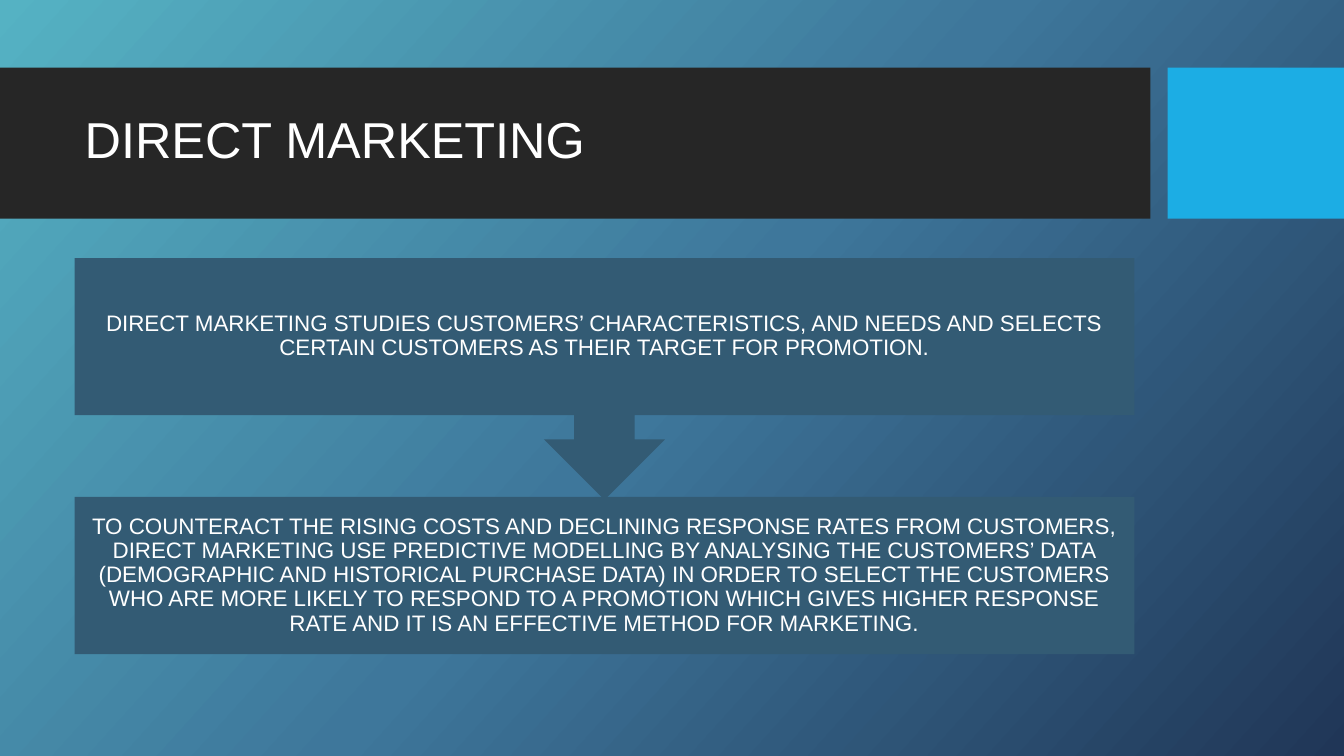
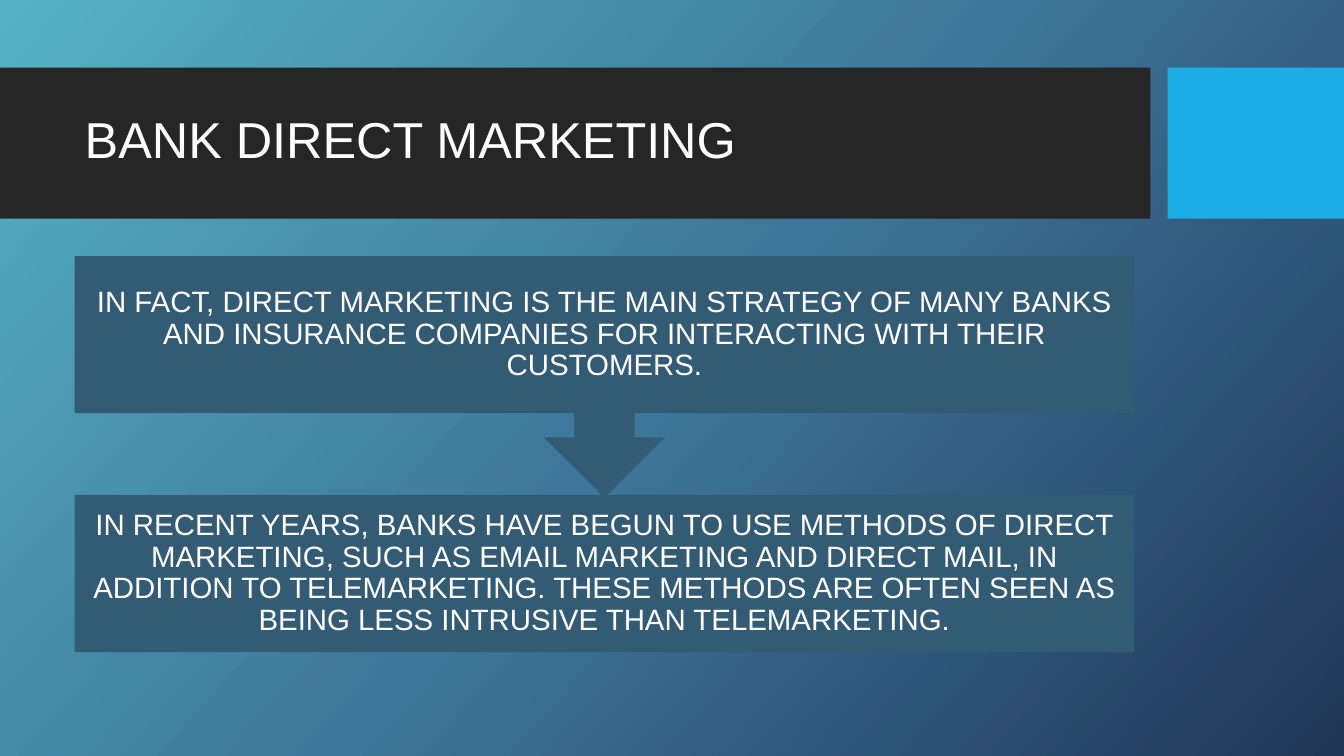
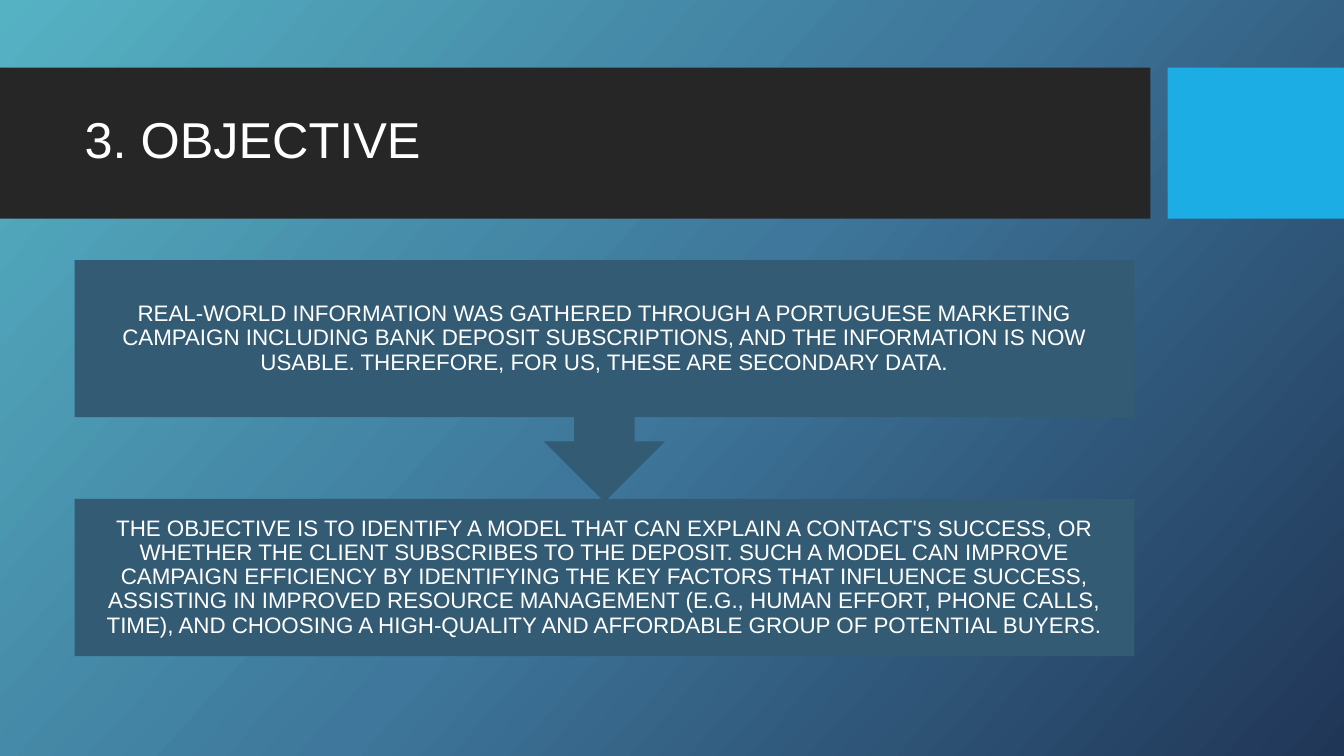
from copy import deepcopy

from pptx import Presentation
from pptx.dml.color import RGBColor
from pptx.enum.shapes import MSO_SHAPE
from pptx.enum.text import MSO_ANCHOR, MSO_AUTO_SIZE, PP_ALIGN
from pptx.oxml.ns import qn
from pptx.util import Inches, Pt

# Content: title, top of the flow, text size, text inset, upper and lower step
SLIDES = [
    ("DIRECT MARKETING", 2.56, 16, 0.12,
     "DIRECT MARKETING STUDIES CUSTOMERS’ CHARACTERISTICS, AND NEEDS AND SELECTS CERTAIN "
     "CUSTOMERS AS THEIR TARGET FOR PROMOTION.",
     "TO COUNTERACT THE RISING COSTS AND DECLINING RESPONSE RATES FROM CUSTOMERS, DIRECT "
     "MARKETING USE PREDICTIVE MODELLING BY ANALYSING THE CUSTOMERS’ DATA (DEMOGRAPHIC AND "
     "HISTORICAL PURCHASE DATA) IN ORDER TO SELECT THE CUSTOMERS WHO ARE MORE LIKELY TO "
     "RESPOND TO A PROMOTION WHICH GIVES HIGHER RESPONSE RATE AND IT IS AN EFFECTIVE METHOD "
     "FOR MARKETING."),
    ("BANK DIRECT MARKETING", 2.54, 21, 0.16,
     "IN FACT, DIRECT MARKETING IS THE MAIN STRATEGY OF MANY BANKS AND INSURANCE COMPANIES "
     "FOR INTERACTING WITH THEIR CUSTOMERS.",
     "IN RECENT YEARS, BANKS HAVE BEGUN TO USE METHODS OF DIRECT MARKETING, SUCH AS EMAIL "
     "MARKETING AND DIRECT MAIL, IN ADDITION TO TELEMARKETING. THESE METHODS ARE OFTEN SEEN "
     "AS BEING LESS INTRUSIVE THAN TELEMARKETING."),
    ("3. OBJECTIVE", 2.58, 16, 0.12,
     "REAL-WORLD INFORMATION WAS GATHERED THROUGH A PORTUGUESE MARKETING CAMPAIGN INCLUDING "
     "BANK DEPOSIT SUBSCRIPTIONS, AND THE INFORMATION IS NOW USABLE. THEREFORE, FOR US, THESE "
     "ARE SECONDARY DATA.",
     "THE OBJECTIVE IS TO IDENTIFY A MODEL THAT CAN EXPLAIN A CONTACT'S SUCCESS, OR WHETHER "
     "THE CLIENT SUBSCRIBES TO THE DEPOSIT. SUCH A MODEL CAN IMPROVE CAMPAIGN EFFICIENCY BY "
     "IDENTIFYING THE KEY FACTORS THAT INFLUENCE SUCCESS, ASSISTING IN IMPROVED RESOURCE "
     "MANAGEMENT (E.G., HUMAN EFFORT, PHONE CALLS, TIME), AND CHOOSING A HIGH-QUALITY AND "
     "AFFORDABLE GROUP OF POTENTIAL BUYERS."),
]

# Shared look
FONT = "Arial"
WHITE = RGBColor(0xFF, 0xFF, 0xFF)
STEP_FILL = RGBColor(0x33, 0x5B, 0x74)
BACKGROUND = [(0, RGBColor(0x55, 0xB2, 0xC3)),
              (0.5, RGBColor(0x3E, 0x77, 0x9B)),
              (1, RGBColor(0x20, 0x36, 0x57))]
GRADIENT_ANGLE = 360 - 42

# Layout in inches
WIDTH, HEIGHT = 13.33, 7.5
MARGIN, COLUMN = 0.74, 10.51
BAND_TOP, BAND_HEIGHT = 0.67, 1.5
BANDS = [(0, 11.41, RGBColor(0x26, 0x26, 0x26)),
         (11.58, WIDTH - 11.58, RGBColor(0x1C, 0xAD, 0xE4))]
TITLE_AREA = (MARGIN, 0.82, COLUMN, 1.18)
STEP_HEIGHT, STEP_PITCH, CALLOUT_HEIGHT = 1.56, 2.37, 2.4


def add_filled(page, kind, area, color):
    shape = page.shapes.add_shape(kind, *map(Inches, area))
    shape.shadow.inherit = False
    shape.fill.solid()
    shape.fill.fore_color.rgb = color
    shape.line.fill.background()
    return shape


def write(shape, text, size, align, insets):
    frame = shape.text_frame
    frame.text = text
    frame_format = {"word_wrap": True, "auto_size": MSO_AUTO_SIZE.NONE,
                    "vertical_anchor": MSO_ANCHOR.MIDDLE}
    for side, inset in zip(("left", "top", "right", "bottom"), insets):
        frame_format[f"margin_{side}"] = Inches(inset)
    para = frame.paragraphs[0]
    span = para.runs[0]
    span.font.color.rgb = WHITE
    for target, values in (
        (frame, frame_format),
        (para, {"alignment": align, "line_spacing": 0.9}),
        (span.font, {"name": FONT, "size": Pt(size)}),
    ):
        for name, value in values.items():
            setattr(target, name, value)


def paint_background(master):
    fill = master.background.fill
    fill.gradient()
    fill.gradient_angle = GRADIENT_ANGLE
    stops = master.element.find(".//" + qn("a:gsLst"))
    stops.append(deepcopy(stops[-1]))
    for stop, (position, color) in zip(fill.gradient_stops, BACKGROUND):
        stop.position = position
        stop.color.rgb = color


def add_bands(layout, page):
    """Draw the bands on a page, then move them behind the layout's placeholders."""
    for index, (left, width, color) in enumerate(BANDS):
        band = add_filled(page, MSO_SHAPE.RECTANGLE,
                          (left, BAND_TOP, width, BAND_HEIGHT), color)
        band.element.nvSpPr.cNvPr.set("id", str(100 + index))
        layout.shapes.element.insert(2 + index, band.element)


def add_title(page, text):
    title = page.shapes.title
    for name, value in zip(("left", "top", "width", "height"), TITLE_AREA):
        setattr(title, name, Inches(value))
    write(title, text, 36, PP_ALIGN.LEFT, (0.1, 0.05, 0.1, 0.05))


def add_flow(page, top, size, inset, upper, lower):
    lower_box = add_filled(page, MSO_SHAPE.RECTANGLE,
                           (MARGIN, top + STEP_PITCH, COLUMN, STEP_HEIGHT), STEP_FILL)
    callout = add_filled(page, MSO_SHAPE.UP_ARROW_CALLOUT,
                         (MARGIN, top, COLUMN, CALLOUT_HEIGHT), STEP_FILL)
    callout.rotation = 180
    # Upright text over the turned callout
    upper_box = page.shapes.add_textbox(
        *map(Inches, (MARGIN, top, COLUMN, STEP_HEIGHT)))
    for box, text in ((lower_box, lower), (upper_box, upper)):
        write(box, text, size, PP_ALIGN.CENTER, [inset] * 4)


def main():
    deck = Presentation()
    deck.slide_width, deck.slide_height = Inches(WIDTH), Inches(HEIGHT)
    layout = deck.slide_layouts.get_by_name("Title Only")
    paint_background(deck.slide_master)
    pages = [deck.slides.add_slide(layout) for _ in SLIDES]
    add_bands(layout, pages[0])
    for page, (title, *flow) in zip(pages, SLIDES):
        add_title(page, title)
        add_flow(page, *flow)
    deck.save("out.pptx")


if __name__ == "__main__":
    main()
